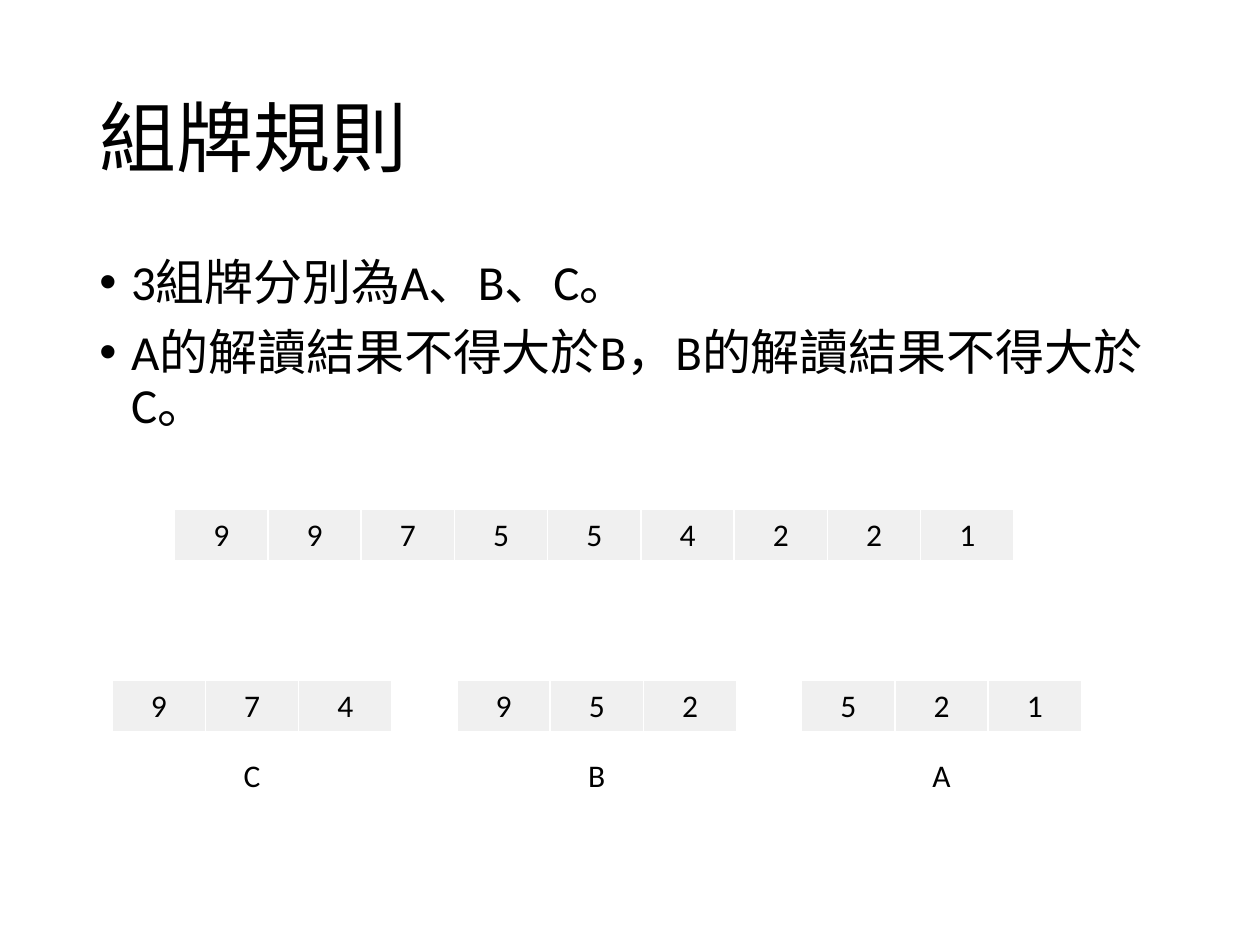
from pptx import Presentation
from pptx.dml.color import RGBColor
from pptx.enum.text import MSO_ANCHOR as Anchor, MSO_AUTO_SIZE as AutoSize, PP_ALIGN as Align
from pptx.oxml import parse_xml
from pptx.oxml.ns import nsdecls
from pptx.util import Cm, Pt

BLACK = RGBColor(0x00, 0x00, 0x00)
WHITE = RGBColor(0xFF, 0xFF, 0xFF)
GREY = RGBColor(0xF0, 0xF0, 0xF0)
CARD_W, CARD_H = 1.88, 1.04


class Deck:
    """Holds the style and the current slide, and adds its elements."""

    font = "Calibri"

    def __init__(self, prs):
        self.s = prs.slides.add_slide(prs.slide_layouts[1])

    def style(self, p, size, align=Align.LEFT):
        p.alignment = align
        p.font.name, p.font.size = self.font, Pt(size)
        p.font.color.rgb = BLACK

    def place(self, sp, left, top, width, height, anchor):
        sp.left, sp.top, sp.width, sp.height = map(Cm, (left, top, width, height))
        tf = sp.text_frame
        tf.auto_size, tf.vertical_anchor = AutoSize.NONE, anchor
        return tf

    def title(self, text, *box):
        tf = self.place(self.s.shapes.title, *box, Anchor.MIDDLE)
        tf.text = text
        p = tf.paragraphs[0]
        p.line_spacing = 0.9
        self.style(p, 44)

    def bullets(self, lines, *box):
        tf = self.place(self.s.placeholders[1], *box, Anchor.TOP)
        tf.text = "\n".join(lines)
        for p in tf.paragraphs:
            p.line_spacing, p.space_before = 0.9, Pt(10)
            self.style(p, 28)
            pPr = p._p.get_or_add_pPr()
            pPr.set("marL", str(Cm(0.64)))
            pPr.set("indent", str(Cm(-0.64)))

    def border(self, cell):
        tcPr = cell._tc.get_or_add_tcPr()
        for i, side in enumerate("LRTB"):
            tcPr.insert(i, parse_xml(
                f'<a:ln{side} {nsdecls("a")} w="{Pt(1)}"><a:solidFill>'
                f'<a:srgbClr val="{WHITE}"/></a:solidFill></a:ln{side}>'))

    def cards(self, digits, left, top):
        n = len(digits)
        table = self.s.shapes.add_table(
            1, n, Cm(left), Cm(top), Cm(n * CARD_W), Cm(CARD_H)).table
        table.first_row = table.horz_banding = False
        for col, digit in enumerate(digits):
            table.columns[col].width = Cm(CARD_W)
            cell = table.cell(0, col)
            cell.text = digit
            cell.vertical_anchor = Anchor.MIDDLE
            cell.fill.solid()
            cell.fill.fore_color.rgb = GREY
            self.border(cell)
            self.style(cell.text_frame.paragraphs[0], 18, Align.CENTER)

    def label(self, text, center, top):
        width = 0.88
        sp = self.s.shapes.add_textbox(
            Cm(center - width / 2), Cm(top), Cm(width), Cm(1.03))
        tf = sp.text_frame
        tf.word_wrap, tf.auto_size = False, AutoSize.SHAPE_TO_FIT_TEXT
        tf.text = text
        self.style(tf.paragraphs[0], 18, Align.CENTER)


prs = Presentation()
prs.slide_width, prs.slide_height = Cm(25.4), Cm(19.05)
deck = Deck(prs)
deck.title("組牌規則", 1.75, 1.01, 21.9, 3.68)
deck.bullets(["3組牌分別為A、B、C。",
              "A的解讀結果不得大於B,B的解讀結果不得大於C。".replace(",", "\uff0c")],
             1.75, 5.07, 21.9, 12.09)
deck.cards("997554221", 3.52, 10.27)
for i, (name, digits) in enumerate([("C", "974"), ("B", "952"), ("A", "521")]):
    left = 2.26 + 6.95 * i
    deck.cards(digits, left, 13.72)
    deck.label(name, left + 1.5 * CARD_W, 15.11)
prs.save("out.pptx")
